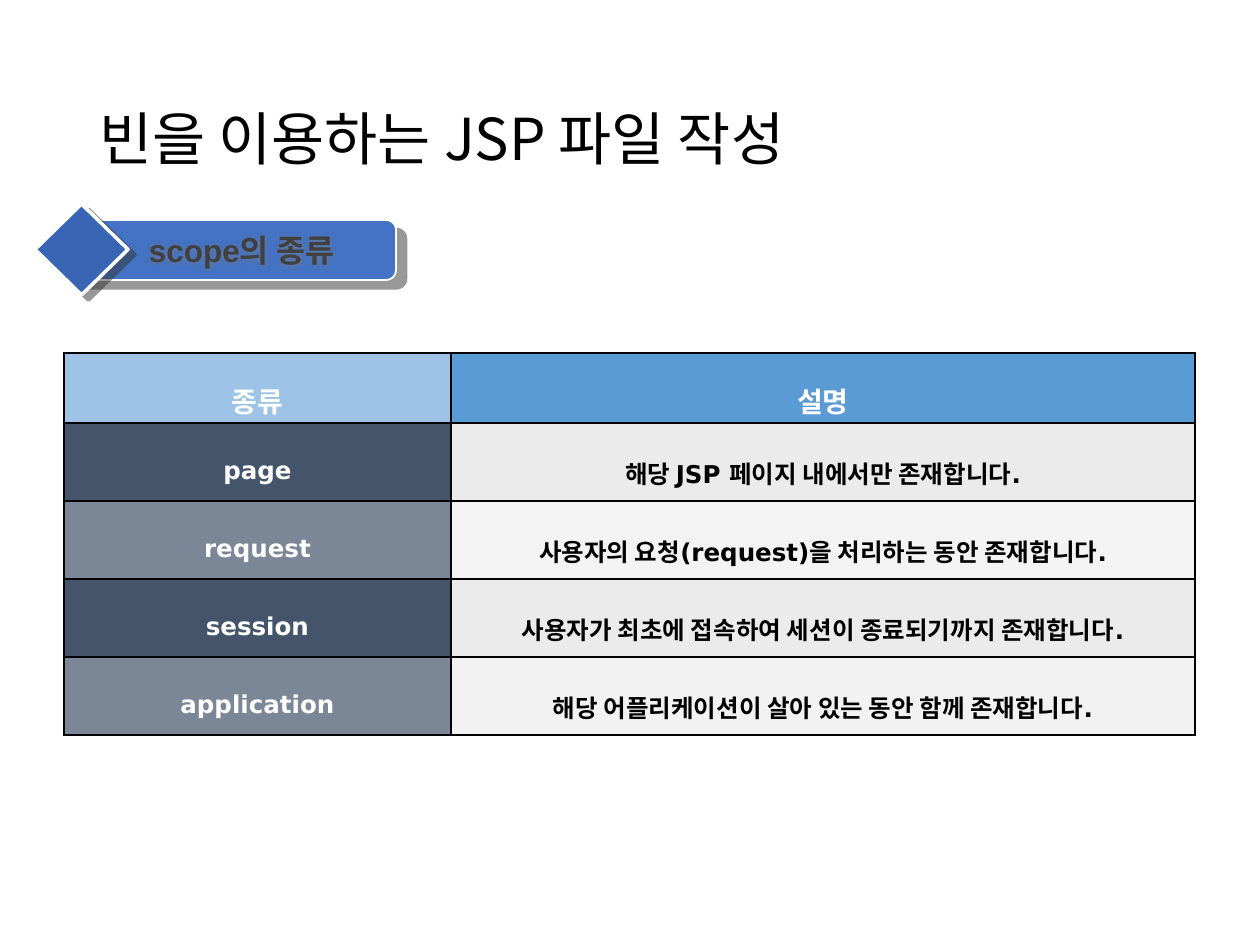
from dataclasses import dataclass

from lxml import etree
from pptx import Presentation
from pptx import util as u
from pptx.dml.color import RGBColor
from pptx.enum import shapes, text
from pptx.oxml import ns

SCALE = 914400 / 126


@dataclass(frozen=True)
class Theme:
    ink: str = "000000"
    paper: str = "FFFFFF"
    label: str = "404040"
    shade: str = "333333"
    glow: str = "808080"
    bar: str = "4472C4"
    gem: str = "3965B5"
    kind_head: str = "9DC3E6"
    note_head: str = "5B9BD5"
    kind: str = "44546A"
    note: str = "E7E6E6"
    asian: str = "Noto Sans CJK KR"
    title_size: int = 33
    label_size: int = 18
    head_size: int = 16
    body_size: int = 14


T = Theme()


@dataclass(frozen=True)
class Box:
    x: int
    y: int
    w: int
    h: int

    def emu(self) -> list:
        return [px(n) for n in (self.x, self.y, self.w, self.h)]


@dataclass(frozen=True)
class Style:
    size: int
    face: str
    color: str
    bold: bool = True
    align: object = text.PP_ALIGN.CENTER
    space: float = 1.0


@dataclass(frozen=True)
class Shadow:
    color: str
    alpha: int
    blur: float
    dist: float
    angle: int


@dataclass(frozen=True)
class Badge:
    kind: object
    box: Box
    fill: str
    line: int
    shadow: Shadow


@dataclass(frozen=True)
class Scope:
    name: str
    note: str
    name_alpha: int
    note_alpha: int


BADGES = [
    Badge(shapes.MSO_SHAPE.ROUNDED_RECTANGLE, Box(63, 220, 333, 60), T.bar, 1,
          Shadow(T.shade, 50, 0, 7.8, 40)),
    Badge(shapes.MSO_SHAPE.DIAMOND, Box(35, 204, 93, 91), T.gem, 2,
          Shadow(T.shade, 50, 0, 5, 37)),
]
SCOPES = [
    Scope("page", "해당 JSP 페이지 내에서만 존재합니다.", 100, 80),
    Scope("request", "사용자의 요청(request)을 처리하는 동안 존재합니다.", 70, 48),
    Scope("session", "사용자가 최초에 접속하여 세션이 종료되기까지 존재합니다.", 100, 80),
    Scope("application", "해당 어플리케이션이 살아 있는 동안 함께 존재합니다.", 70, 50),
]
COLS = (387, 744)
HEAD_H, ROW_H = 70, 78


def px(n: int) -> u.Emu:
    return u.Emu(round(n * SCALE))


def node(parent, tag: str, **attrs):
    return etree.SubElement(parent, ns.qn(tag), {k: str(v) for k, v in attrs.items()})


def write(frame, words: str, style: Style) -> None:
    para = frame.paragraphs[0]
    para.text = words
    para.alignment = style.align
    para.line_spacing = style.space
    font = para.font
    font.size = u.Pt(style.size)
    font.bold = style.bold
    font.color.rgb = RGBColor.from_string(style.color)
    font.name = style.face
    node(para._p.pPr.find(ns.qn("a:defRPr")), "a:ea", typeface=T.asian)


def paint(fill, color: str, alpha: int = 100) -> None:
    fill.solid()
    fill.fore_color.rgb = RGBColor.from_string(color)
    if alpha < 100:
        solid = fill._xPr.find(ns.qn("a:solidFill"))
        node(solid[0], "a:alpha", val=alpha * 1000)


def cast(shape, shadow: Shadow) -> None:
    """Give the shape an outer shadow."""
    shape.shadow.inherit = False
    effects = shape._element.spPr.find(ns.qn("a:effectLst"))
    outer = node(effects, "a:outerShdw", blurRad=u.Pt(shadow.blur), dist=u.Pt(shadow.dist),
                 dir=shadow.angle * 60000, algn="ctr", rotWithShape=0)
    color = node(outer, "a:srgbClr", val=shadow.color)
    node(color, "a:alpha", val=shadow.alpha * 1000)


def add_text(parent, box: Box, words: str, style: Style):
    shape = parent.add_textbox(*box.emu())
    shape.text_frame.word_wrap = True
    write(shape.text_frame, words, style)
    return shape


def add_badge(parent, badge: Badge) -> None:
    shape = parent.add_shape(badge.kind, *badge.box.emu())
    paint(shape.fill, badge.fill)
    shape.line.color.rgb = RGBColor.from_string(T.paper)
    shape.line.width = u.Pt(badge.line)
    cast(shape, badge.shadow)


def add_label(slide) -> None:
    group = slide.shapes.add_group_shape().shapes
    for badge in BADGES:
        add_badge(group, badge)
    label = add_text(group, Box(87, 225, 309, 50), "scope의 종류",
                     Style(T.label_size, "Arial", T.label))
    label.text_frame.auto_size = text.MSO_AUTO_SIZE.SHAPE_TO_FIT_TEXT
    cast(label, Shadow(T.glow, 60, 3, 0, 0))


def frame_cell(cell) -> None:
    """Draw a thin line on all four sides."""
    props = cell._tc.get_or_add_tcPr()
    for place, side in enumerate("LRTB"):
        line = node(props, f"a:ln{side}", w=u.Pt(1))
        node(node(line, "a:solidFill"), "a:srgbClr", val=T.ink)
        props.insert(place, line)


def set_cell(cell, words: str, size: int, ink: str, fill: str, alpha: int = 100) -> None:
    cell.vertical_anchor = text.MSO_ANCHOR.MIDDLE
    cell.margin_left = cell.margin_right = px(9)
    cell.margin_top = cell.margin_bottom = px(3)
    write(cell.text_frame, words, Style(size, "DejaVu Sans", ink, space=1.6))
    paint(cell.fill, fill, alpha)
    frame_cell(cell)


def add_scopes(slide) -> None:
    box = Box(64, 353, sum(COLS), HEAD_H + ROW_H * len(SCOPES))
    table = slide.shapes.add_table(len(SCOPES) + 1, len(COLS), *box.emu()).table
    table.first_row = table.horz_banding = False
    for col, width in zip(table.columns, COLS):
        col.width = px(width)
    for row in table.rows:
        row.height = px(ROW_H)
    table.rows[0].height = px(HEAD_H)
    set_cell(table.cell(0, 0), "종류", T.head_size, T.paper, T.kind_head)
    set_cell(table.cell(0, 1), "설명", T.head_size, T.paper, T.note_head)
    for i, scope in enumerate(SCOPES, 1):
        set_cell(table.cell(i, 0), scope.name, T.body_size, T.paper, T.kind, scope.name_alpha)
        set_cell(table.cell(i, 1), scope.note, T.body_size, T.ink, T.note, scope.note_alpha)


def main() -> None:
    deck = Presentation()
    deck.slide_width, deck.slide_height = px(1260), px(945)
    slide = deck.slides.add_slide(deck.slide_layouts[6])
    title = add_text(slide.shapes, Box(87, 50, 1086, 183), "빈을 이용하는 JSP 파일 작성",
                     Style(T.title_size, T.asian, T.ink, False, text.PP_ALIGN.LEFT, 0.9))
    title.text_frame.vertical_anchor = text.MSO_ANCHOR.MIDDLE
    add_scopes(slide)
    add_label(slide)
    deck.save("out.pptx")


if __name__ == "__main__":
    main()
